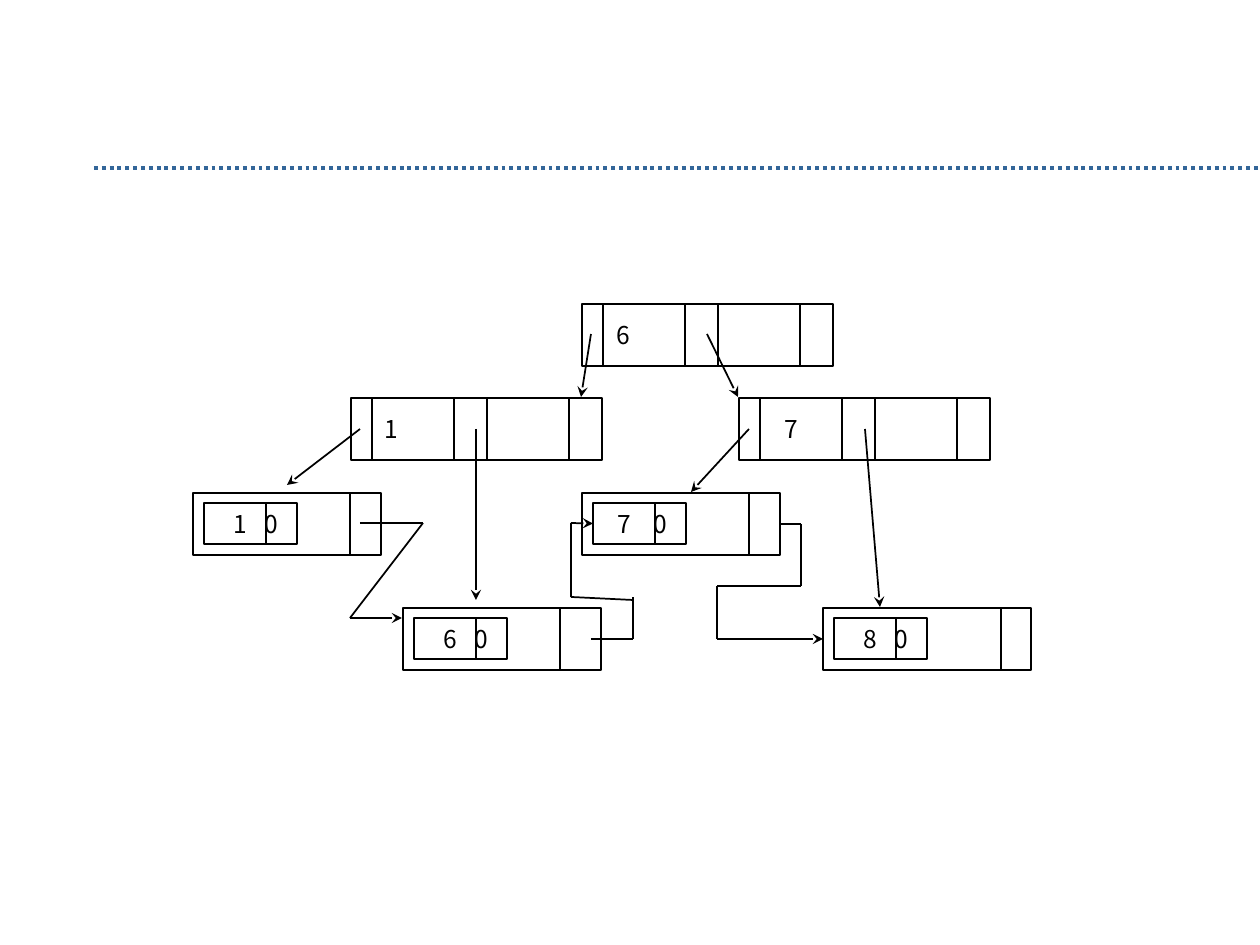
from dataclasses import dataclass

from lxml.etree import SubElement as Sub
from pptx import Presentation
from pptx.dml.color import RGBColor as Rgb
from pptx.enum.dml import MSO_LINE as Dash
from pptx.enum.shapes import MSO_CONNECTOR as Conn, MSO_SHAPE as Shape
from pptx.enum.text import MSO_ANCHOR as Anchor, PP_ALIGN as Align
from pptx.oxml.ns import qn
from pptx.util import Pt


@dataclass(frozen=True)
class Theme:
    ink: Rgb = Rgb(0, 0, 0)
    paper: Rgb = Rgb(255, 255, 255)
    rule: Rgb = Rgb(0x33, 0x66, 0x99)
    font: str = "Noto Sans CJK KR"
    size: int = 14
    thin: float = 1
    thick: float = 2.25


THEME = Theme()
SCALE = 914400 / 126
TOP, LEFT, RIGHT = 0, 1, 3
HIGH = 62


def px(n):
    return round(n * SCALE)


def write(shape, text, inset=13, tab=None):
    frame = shape.text_frame
    frame.word_wrap = True
    frame.vertical_anchor = Anchor.MIDDLE
    frame.margin_left = px(inset)
    frame.margin_right = frame.margin_top = frame.margin_bottom = 0
    para = frame.paragraphs[0]
    para.alignment = Align.LEFT
    if tab:
        stops = Sub(para._p.get_or_add_pPr(), qn("a:tabLst"))
        Sub(stops, qn("a:tab"), pos=str(px(tab - inset)), algn="l")
    run = para.add_run()
    run.text = text
    run.font.name = THEME.font
    run.font.size = Pt(THEME.size)
    run.font.color.rgb = THEME.ink


def box(slide, x, y, wide, high):
    shape = slide.shapes.add_shape(Shape.RECTANGLE, px(x), px(y), px(wide), px(high))
    shape.shadow.inherit = False
    shape.fill.solid()
    shape.fill.fore_color.rgb = THEME.paper
    shape.line.color.rgb = THEME.ink
    shape.line.width = Pt(THEME.thin)
    return shape


def line(slide, start, end, color=THEME.ink, width=THEME.thin, dash=None, arrow=False):
    link = slide.shapes.add_connector(Conn.STRAIGHT, *map(px, start + end))
    link.line.color.rgb = color
    link.line.width = Pt(width)
    if dash:
        link.line.dash_style = dash
    if arrow:
        Sub(link.line._get_or_add_ln(), qn("a:tailEnd"), type="stealth")
    Sub(link._element.spPr, qn("a:effectLst"))
    return link


def route(slide, *points):
    last = len(points) - 2
    return [
        line(slide, start, end, arrow=i == last)
        for i, (start, end) in enumerate(zip(points, points[1:]))
    ]


def index(slide, x, y, key, inset=13):
    box(slide, x, y, 251, HIGH)
    cells = [box(slide, x + gap, y, 82, HIGH) for gap in (21, 136)]
    write(cells[0], key, inset=inset)


def leaf(slide, x, y, wide, split, key, inset=29):
    node = box(slide, x, y, wide, HIGH)
    entry = box(slide, x + 11, y + 10, 93, 41)
    write(entry, f"{key}\t0", inset=inset, tab=60)
    line(slide, (x + split, y), (x + split, y + HIGH))
    line(slide, (x + 73, y + 10), (x + 73, y + 51))
    return node, entry


def main():
    deck = Presentation()
    deck.slide_width, deck.slide_height = px(1260), px(945)
    slide = deck.slides.add_slide(deck.slide_layouts[6])

    line(slide, (94, 168), (1260, 168), THEME.rule, THEME.thick, Dash.ROUND_DOT)

    index(slide, 582, 304, "6")
    index(slide, 351, 398, "1")
    index(slide, 739, 398, "7", inset=24)

    leaf(slide, 193, 493, 188, 157, "1")
    leaf(slide, 403, 608, 198, 157, "6")
    seven, entry = leaf(slide, 582, 493, 198, 167, "7", inset=24)
    eight, _ = leaf(slide, 823, 608, 208, 178, "8")

    for start, end in (
        ((591, 334), (581, 397)),
        ((707, 334), (738, 397)),
        ((360, 429), (287, 485)),
        ((476, 429), (476, 600)),
        ((749, 429), (691, 492)),
        ((865, 429), (880, 607)),
    ):
        line(slide, start, end, arrow=True)

    route(slide, (360, 523), (423, 523), (350, 618), (402, 618))

    line(slide, (591, 639), (633, 639))
    line(slide, (633, 639), (633, 597))
    climb = route(slide, (633, 600), (571, 597), (571, 523), (592, 523))
    climb[-1].end_connect(entry, LEFT)

    drop = route(
        slide, (780, 524), (801, 524), (801, 586), (717, 586), (717, 639), (823, 639)
    )
    drop[0].begin_connect(seven, RIGHT)
    drop[-1].end_connect(eight, LEFT)

    deck.save("out.pptx")


if __name__ == "__main__":
    main()
